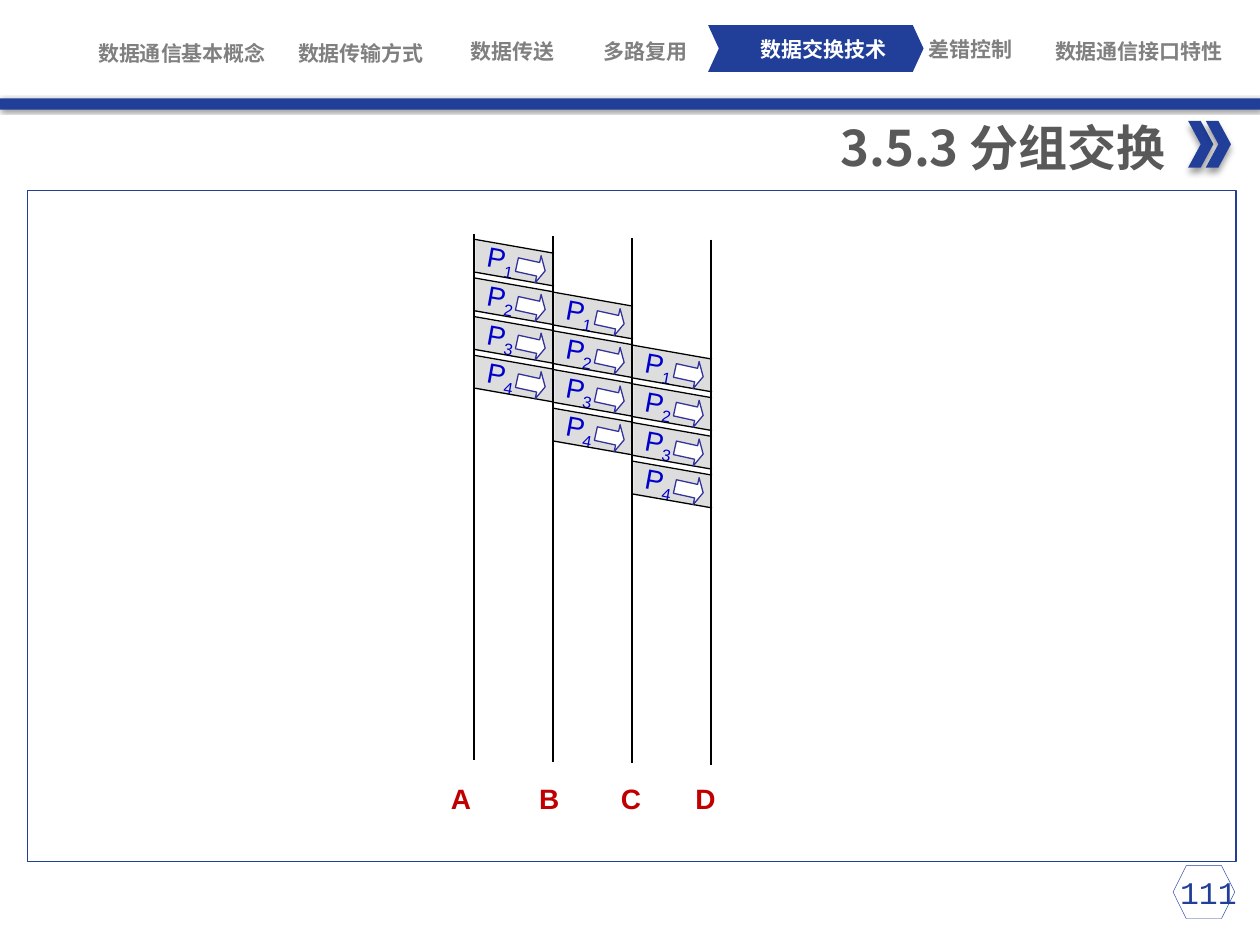
"""Build the packet switching slide with its navigation bar and timing diagram."""
from dataclasses import dataclass

from lxml.etree import SubElement
from pptx import Presentation
from pptx.dml.color import RGBColor
from pptx.enum.shapes import MSO_CONNECTOR, MSO_SHAPE
from pptx.enum.text import MSO_ANCHOR, MSO_AUTO_SIZE, PP_ALIGN
from pptx.oxml.ns import qn
from pptx.util import Emu, Inches, Pt

COLORS = {
    "navy": "213F99", "gray": "808080", "title": "595959", "white": "FFFFFF",
    "black": "000000", "packet": "DDDDDD", "label": "0000CC",
    "arrow": "333399", "station": "C00000",
}
COLUMNS, ROWS = 100, 75
HOP_WIDTH, HOP_DELAY, PACKET_STEP = 6.27, 4.2, 3.07
FIRST_LEFT, FIRST_TOP = 37.7, 19
PACKET_SLOPE, PACKET_HEIGHT = 1.1, 2.6
HOPS, PACKETS = 3, 4

presentation = Presentation()
presentation.slide_width, presentation.slide_height = Inches(10), Inches(7.5)
slide = presentation.slides.add_slide(presentation.slide_layouts[6])


@dataclass(frozen=True)
class Box:
    """A rectangle in grid columns and rows."""
    left: float
    top: float
    width: float
    height: float

    def lengths(self) -> list[Emu]:
        across = presentation.slide_width / COLUMNS
        down = presentation.slide_height / ROWS
        return [Emu(round(value)) for value in (
            self.left * across, self.top * down, self.width * across, self.height * down)]


@dataclass(frozen=True)
class Tab:
    """An entry of the navigation bar."""
    text: str
    box: Box
    color: str = "gray"


@dataclass(frozen=True)
class Shadow:
    """An outer shadow with lengths in points and an angle in degrees."""
    blur: float
    distance: float
    angle: int


@dataclass(frozen=True)
class Packet:
    """A packet of the diagram, placed by its number and its hop."""
    number: int
    hop: int

    @property
    def left(self) -> float:
        return FIRST_LEFT + self.hop * HOP_WIDTH

    @property
    def top(self) -> float:
        return FIRST_TOP + self.hop * HOP_DELAY + (self.number - 1) * PACKET_STEP


TABS = [
    Tab("多路复用", Box(44, 3.1, 14.5, 2)),
    Tab("数据通信基本概念", Box(7.2, 3.2, 14.5, 2)),
    Tab("数据传输方式", Box(21.4, 3.2, 14.5, 2)),
    Tab("数据传送", Box(34.3, 3.1, 12.7, 2)),
    Tab("数据通信接口特性", Box(80.8, 3.1, 19.2, 2)),
    Tab("数据交换技术", Box(58.1, 2.9, 14.5, 2), "white"),
    Tab("差错控制", Box(69.8, 2.9, 14.5, 2)),
]


def rgb(name: str) -> RGBColor:
    return RGBColor.from_string(COLORS[name])


def add_figure(kind: MSO_SHAPE, box: Box, fill: str = "", line: str = "", weight: float = 0.75,
               rotation: float = 0, adjustments: tuple = (), shadow: Shadow | None = None) -> None:
    shape = slide.shapes.add_shape(kind, *box.lengths())
    shape.rotation = rotation
    shape.shadow.inherit = False
    for index, value in enumerate(adjustments):
        shape.adjustments[index] = value
    if fill:
        shape.fill.solid()
        shape.fill.fore_color.rgb = rgb(fill)
    else:
        shape.fill.background()
    if line:
        shape.line.color.rgb = rgb(line)
        shape.line.width = Pt(weight)
    else:
        shape.line.fill.background()
    if shadow:
        effects = shape._element.spPr.find(qn("a:effectLst"))
        outer = SubElement(effects, qn("a:outerShdw"), blurRad=str(Pt(shadow.blur)),
                           dist=str(Pt(shadow.distance)), dir=str(shadow.angle * 60000),
                           algn="ctr", rotWithShape="0")
        color = SubElement(outer, qn("a:srgbClr"), val=COLORS["black"])
        SubElement(color, qn("a:alpha"), val="40000")


def add_line(left: float, top: float, right: float, bottom: float, weight: float = 0.75) -> None:
    begin, end = Box(left, top, 0, 0).lengths(), Box(right, bottom, 0, 0).lengths()
    connector = slide.shapes.add_connector(MSO_CONNECTOR.STRAIGHT, *begin[:2], *end[:2])
    connector.line.color.rgb = rgb("black")
    connector.line.width = Pt(weight)
    SubElement(connector._element.spPr, qn("a:effectLst"))


def add_text(text: str, box: Box, *, size: float, font: str, color: str, bold: bool = False,
             align: PP_ALIGN = PP_ALIGN.LEFT, wrap: bool = True, grow: bool = True,
             middle: bool = False, margins: tuple | None = None, rotation: float = 0,
             subscript: str = "", tab_stops: tuple = ()) -> None:
    shape = slide.shapes.add_textbox(*box.lengths())
    shape.rotation = rotation
    frame = shape.text_frame
    frame.word_wrap = wrap
    frame.auto_size = MSO_AUTO_SIZE.SHAPE_TO_FIT_TEXT if grow else MSO_AUTO_SIZE.NONE
    frame.vertical_anchor = MSO_ANCHOR.MIDDLE if middle else MSO_ANCHOR.TOP
    if margins:
        frame.margin_left, frame.margin_top, frame.margin_right, frame.margin_bottom = (
            Inches(margin) for margin in margins)
    paragraph = frame.paragraphs[0]
    paragraph.alignment = align
    if tab_stops:
        stops = SubElement(paragraph._p.get_or_add_pPr(), qn("a:tabLst"))
        for position in tab_stops:
            SubElement(stops, qn("a:tab"), pos=str(Inches(position)), algn="l")
    for content in filter(None, (text, subscript)):
        run = paragraph.add_run()
        run.text = content
        run.font.size, run.font.name, run.font.bold = Pt(size), font, bold
        run.font.color.rgb = rgb(color)
        properties = run.font._element
        SubElement(properties, qn("a:ea"), typeface=font)
        if content == subscript:
            properties.set("baseline", "-25000")


def add_packet(packet: Packet) -> None:
    left, top = packet.left, packet.top
    add_figure(MSO_SHAPE.PARALLELOGRAM, Box(left + 1.3, top - 1.2, 3.65, 6.2), "packet",
               rotation=90, adjustments=(0.29,))
    add_text("P", Box(left, top - 0.3, 4.3, 3.7), size=16, font="Arial", color="label",
             wrap=False, rotation=10.4, subscript=str(packet.number))
    for offset in (0, PACKET_HEIGHT):
        add_line(left, top + offset, left + HOP_WIDTH, top + offset + PACKET_SLOPE)
    add_figure(MSO_SHAPE.RIGHT_ARROW, Box(left + 3.3, top + 1.15, 2.3, 2.2), "white", "arrow",
               rotation=12.4, adjustments=(0.5, 0.26))


def main() -> None:
    add_figure(MSO_SHAPE.CHEVRON, Box(56.2, 2, 17.1, 3.7), "navy", adjustments=(0.23,))
    for tab in TABS:
        add_text(tab.text, tab.box, size=12, font="Roboto Condensed", color=tab.color, bold=True,
                 align=PP_ALIGN.CENTER, middle=True, margins=(0, 0, 0, 0))
    add_figure(MSO_SHAPE.RECTANGLE, Box(0, 7.8, 100, 0.9), "navy", shadow=Shadow(2, 1, 45))
    for left in (94.3, 95.7):
        add_figure(MSO_SHAPE.CHEVRON, Box(left, 9.6, 2, 3.7), "navy", shadow=Shadow(4, 3, 90))
    add_text("3.5.3 分组交换", Box(63.9, 8.8, 29.6, 5.7), size=28, font="Noto Sans CJK SC",
             color="title", bold=True, align=PP_ALIGN.RIGHT, wrap=False)
    add_figure(MSO_SHAPE.RECTANGLE, Box(2.2, 15.1, 95.9, 53.3), line="navy")
    add_text("111", Box(90.8, 68.8, 8.7, 4), size=18, font="Courier New", color="navy",
             align=PP_ALIGN.CENTER, grow=False, margins=(0.25, 0.05, 0.1, 0.05))
    add_figure(MSO_SHAPE.HEXAGON, Box(93.1, 68.7, 4.9, 4.2), line="navy", weight=0.25)
    for hop in range(HOPS):
        for number in range(1, PACKETS + 1):
            add_packet(Packet(number, hop))
    add_text("A\tB\tC\tD", Box(34.8, 61.5, 24.2, 3.7), size=16, font="Arial", color="station",
             bold=True, tab_stops=(0.7, 1.35, 1.94))
    for station in range(HOPS + 1):
        left, top = 37.6 + station * HOP_WIDTH, 18.6 + station * 0.14
        add_line(left, top, left, top + 41.7, weight=1)
    presentation.save("out.pptx")


if __name__ == "__main__":
    main()
